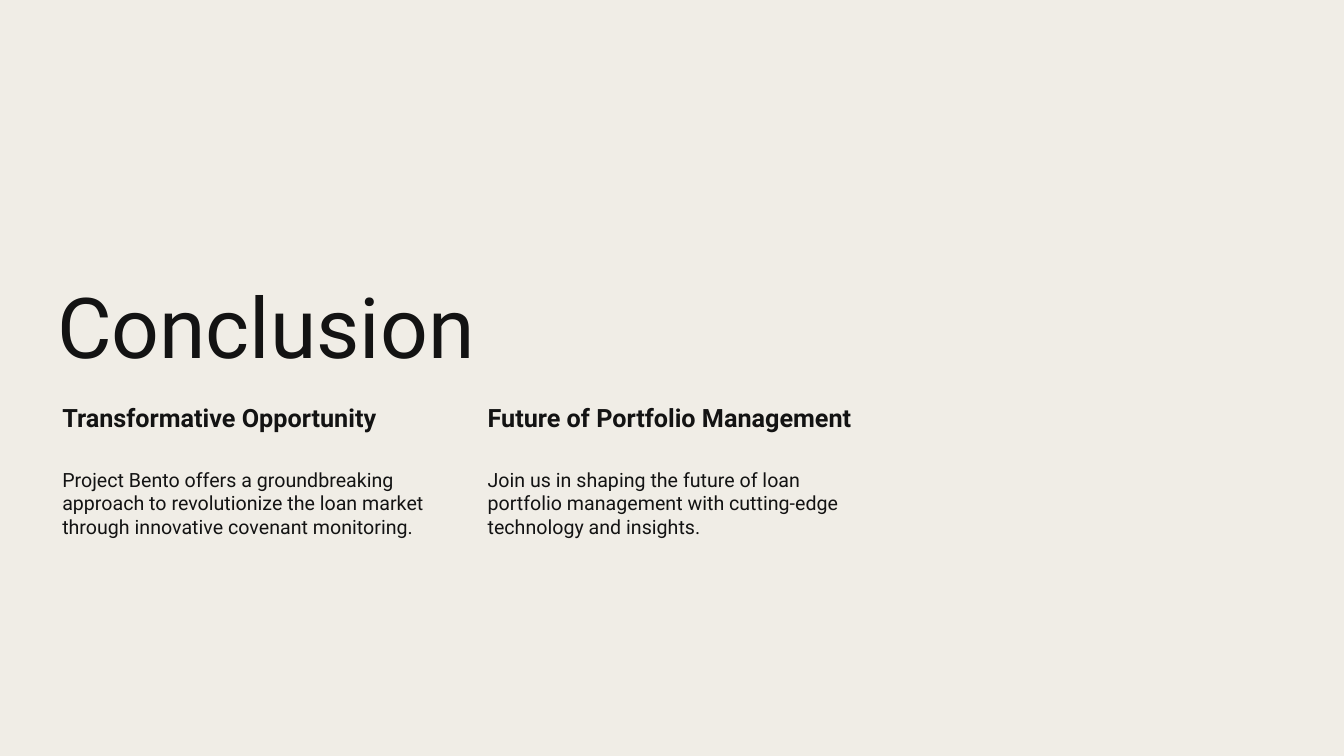
from pptx import Presentation
from pptx.dml.color import RGBColor
from pptx.enum import text
from pptx.util import Cm, Pt

FONT = "Roboto"
INK = "131313"
PAPER = "F0EDE6"
LEFT, COLUMN_WIDTH, COLUMN_STEP = 1.19, 9.75, 10.72
COLUMNS = [
    ("Transformative Opportunity",
     "Project Bento offers a groundbreaking approach to revolutionize the loan "
     "market through innovative covenant monitoring."),
    ("Future of Portfolio Management",
     "Join us in shaping the future of loan portfolio management with "
     "cutting-edge technology and insights."),
]


def color(value):
    """Turn a hex string into a colour."""
    return RGBColor.from_string(value)


def write(shape, content, size, bold=False, anchor=text.MSO_ANCHOR.TOP,
          insets=(0.25, 0.13, 0.25, 0.13), line_spacing=1.0):
    """Put formatted text into a shape; insets run left, top, right, bottom."""
    frame = shape.text_frame
    frame.word_wrap = True
    frame.auto_size = text.MSO_AUTO_SIZE.NONE
    frame.vertical_anchor = anchor
    (frame.margin_left, frame.margin_top,
     frame.margin_right, frame.margin_bottom) = map(Cm, insets)
    paragraph = frame.paragraphs[0]
    paragraph.alignment = text.PP_ALIGN.LEFT
    paragraph.line_spacing = line_spacing
    run = paragraph.add_run()
    run.text = content
    run.font.name = FONT
    run.font.size = Pt(size)
    run.font.bold = bold
    run.font.color.rgb = color(INK)


def add_title(slide, content, left, top, width, height):
    """Place the slide title at the bottom of its box."""
    title = slide.shapes.title
    title.left, title.top, title.width, title.height = map(
        Cm, (left, top, width, height))
    write(title, content, 60, anchor=text.MSO_ANCHOR.BOTTOM, line_spacing=0.9)


def add_column(slide, heading, body, left, top, width, height):
    """Stack a bold heading over body text inside the given box."""
    heading_height = 1.68
    heading_box = slide.shapes.add_textbox(
        Cm(left), Cm(top), Cm(width), Cm(heading_height))
    write(heading_box, heading, 18, bold=True, insets=(0.38, 0.08, 0.08, 0.08))
    body_box = slide.shapes.add_textbox(
        Cm(left), Cm(top + heading_height), Cm(width), Cm(height - heading_height))
    write(body_box, body, 14, insets=(0.38, 0.05, 0.05, 0.05))


def build_conclusion(presentation):
    """Add the conclusion slide with its title and text columns."""
    slide = presentation.slides.add_slide(presentation.slide_layouts[5])
    slide.background.fill.solid()
    slide.background.fill.fore_color.rgb = color(PAPER)
    add_title(slide, "Conclusion", LEFT, 4.52, COLUMN_STEP + COLUMN_WIDTH, 5.11)
    for index, (heading, body) in enumerate(COLUMNS):
        add_column(slide, heading, body, LEFT + index * COLUMN_STEP, 10.06,
                   COLUMN_WIDTH, 6.18)


def main():
    """Build and save the presentation."""
    presentation = Presentation()
    presentation.slide_width, presentation.slide_height = Cm(33.87), Cm(19.05)
    build_conclusion(presentation)
    presentation.save("out.pptx")


if __name__ == "__main__":
    main()
